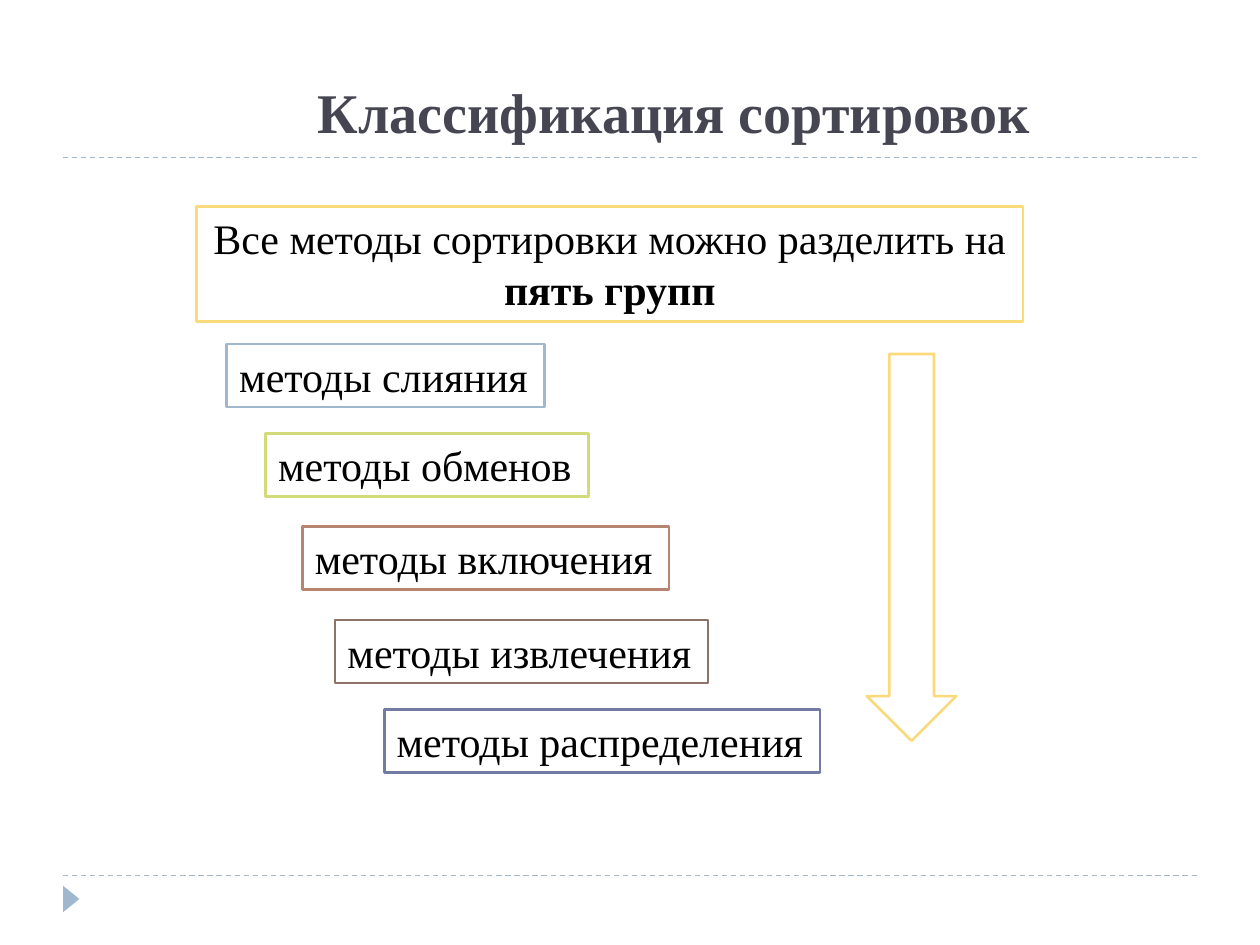
import pptx
import pptx.util
import pptx.dml.color
import pptx.enum.dml
import pptx.enum.shapes
import pptx.enum.text
import pptx.oxml.ns
import lxml.etree

PX = 9144
FONT = "Times New Roman"
COLORS = {
    "white": "FFFFFF", "text": "000000", "title": "464653",
    "yellow": "FADA7A", "blue": "9FB8CD", "green": "D2DA7A",
    "rust": "B88472", "brown": "8E736A", "indigo": "727CA3",
}
SHAPE = pptx.enum.shapes.MSO_SHAPE
ALIGN = pptx.enum.text.PP_ALIGN
ANCHOR = pptx.enum.text.MSO_ANCHOR
FIT = pptx.enum.text.MSO_AUTO_SIZE


def color(name):
    return pptx.dml.color.RGBColor.from_string(COLORS[name])


def emu(*lengths):
    return [pptx.util.Emu(n * PX) for n in lengths]


def set_all(obj, values):
    for name, value in values.items():
        setattr(obj, name, value)


def write(tf, lines, size, tint, align):
    for i, (text, bold) in enumerate(lines):
        p = tf.paragraphs[0] if i == 0 else tf.add_paragraph()
        p.alignment = align
        r = p.add_run()
        r.text = text
        set_all(r.font, {"name": FONT, "size": pptx.util.Pt(size), "bold": bold})
        r.font.color.rgb = color(tint)


def add_shape(s, kind, box, fill, line=None):
    sp = s.shapes.add_shape(kind, *emu(*box))
    sp.shadow.inherit = False
    sp.fill.solid()
    sp.fill.fore_color.rgb = color(fill)
    if line:
        sp.line.color.rgb = color(line)
        sp.line.width = pptx.util.Pt(1.5)
    else:
        sp.line.fill.background()
    return sp


def add_label(s, box, line, lines, align=ALIGN.LEFT, wrap=False):
    sp = add_shape(s, SHAPE.RECTANGLE, box, "white", line)
    tf = sp.text_frame
    set_all(tf, {"word_wrap": wrap, "vertical_anchor": ANCHOR.TOP,
                 "auto_size": FIT.SHAPE_TO_FIT_TEXT})
    write(tf, lines, 24, "text", align)


def add_frame(s, box):
    x, y, w, h = box
    for line_y in (y, y + h):
        c = s.shapes.add_connector(pptx.enum.shapes.MSO_CONNECTOR.STRAIGHT,
                                   *emu(x, line_y, x + w, line_y))
        c.line.color.rgb = color("blue")
        set_all(c.line, {"width": pptx.util.Pt(0.75),
                         "dash_style": pptx.enum.dml.MSO_LINE.DASH})
        sp_pr = c._element.spPr
        lxml.etree.SubElement(sp_pr, pptx.oxml.ns.qn("a:effectLst"))
    marker = add_shape(s, SHAPE.ISOSCELES_TRIANGLE,
                       (x - 4, y + h + 12, 21, 13), "blue")
    marker.rotation = 90


def add_title(s, box):
    sp = s.shapes.title
    set_all(sp, dict(zip(("left", "top", "width", "height"), emu(*box))))
    tf = sp.text_frame
    set_all(tf, {"word_wrap": True, "vertical_anchor": ANCHOR.BOTTOM,
                 "auto_size": FIT.NONE})
    write(tf, [("Классификация сортировок", True)], 32, "title", ALIGN.CENTER)


def add_methods(s, box):
    x, y, w, h = box
    intro = [("Все методы сортировки можно разделить на ", False),
             ("пять групп", True)]
    add_label(s, (x, y, w, 91), "yellow", intro, ALIGN.CENTER, True)
    add_shape(s, SHAPE.DOWN_ARROW, (x + 532, y + 117, 71, 307), "white", "yellow")
    steps = [
        ("методы слияния", 24, 109, 252, "blue"),
        ("методы обменов", 55, 180, 256, "green"),
        ("методы включения", 84, 254, 291, "rust"),
        ("методы извлечения", 110, 328, 296, "brown"),
        ("методы распределения", 149, 399, 346, "indigo"),
    ]
    for text, dx, dy, width, line in steps:
        add_label(s, (x + dx, y + dy, width, 50), line, [(text, False)])


def main():
    prs = pptx.Presentation()
    set_all(prs, dict(zip(("slide_width", "slide_height"), emu(1000, 750))))
    s = prs.slides.add_slide(prs.slide_layouts[5])
    add_frame(s, (50, 125, 900, 570))
    add_title(s, (109, 70, 852, 50))
    add_methods(s, (156, 164, 656, 449))
    prs.save("out.pptx")


if __name__ == "__main__":
    main()
